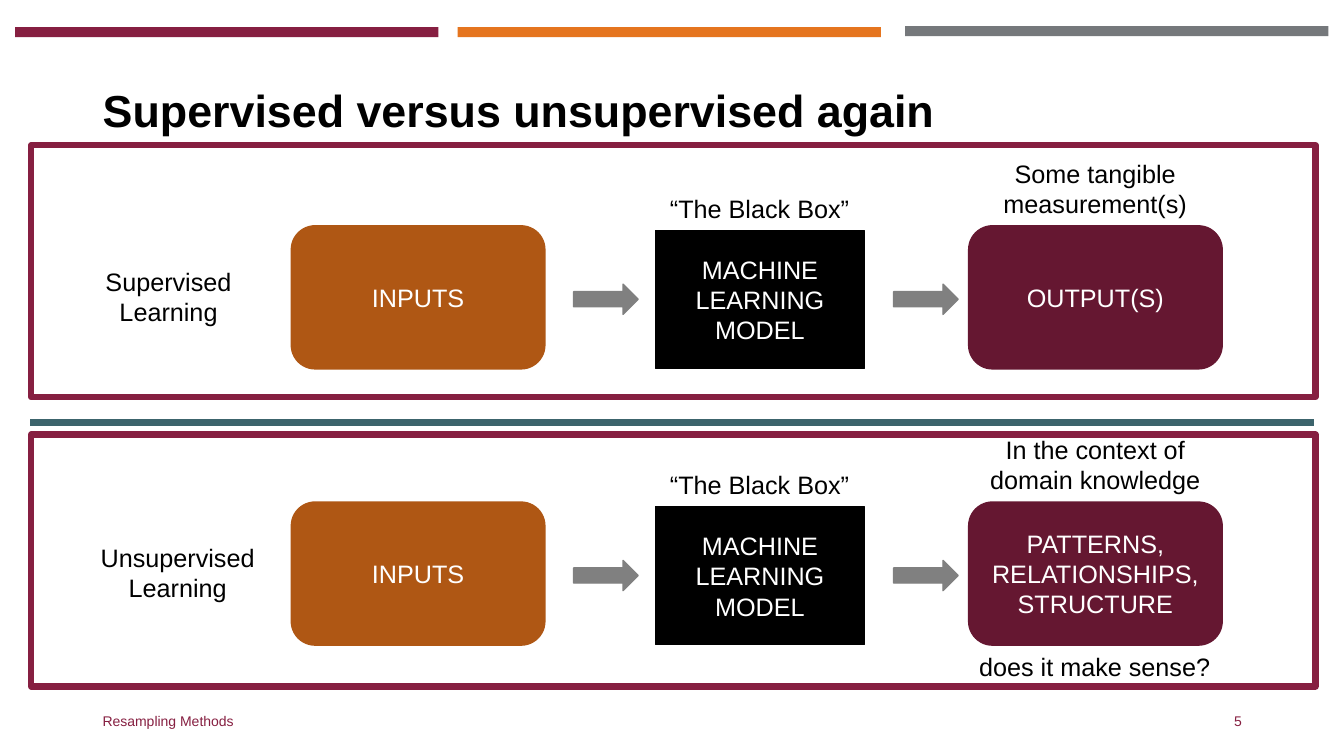
from dataclasses import dataclass

from lxml.etree import SubElement
from pptx import Presentation
from pptx.dml.color import RGBColor
from pptx.enum.shapes import MSO_CONNECTOR, MSO_SHAPE
from pptx.enum.text import MSO_ANCHOR, MSO_AUTO_SIZE, PP_ALIGN
from pptx.oxml.ns import qn
from pptx.shapes.autoshape import Shape
from pptx.slide import Slide
from pptx.text.text import TextFrame
from pptx.util import Pt


@dataclass(frozen=True)
class Theme:
    font: str = "Arial"
    title_size: float = 32
    body_size: float = 18
    footer_size: float = 10
    maroon: str = "861F41"
    dark_maroon: str = "651731"
    orange: str = "E5751F"
    dark_orange: str = "AF5714"
    gray: str = "75787B"
    arrow_gray: str = "808080"
    teal: str = "3C646C"
    black: str = "000000"
    white: str = "FFFFFF"


@dataclass(frozen=True)
class Box:
    left: float
    top: float
    width: float
    height: float

    def lowered(self, distance: float) -> "Box":
        return Box(self.left, self.top + distance, self.width, self.height)


@dataclass(frozen=True)
class Node:
    """A filled step of the flow; each line of text is a paragraph."""
    box: Box
    preset: MSO_SHAPE
    color: str
    text: str = ""


@dataclass(frozen=True)
class Label:
    box: Box
    text: str


@dataclass(frozen=True)
class LearningRow:
    name: str
    name_left: float
    result: str
    result_note: str
    drop: float


THEME = Theme()

TOP_BARS = [
    (Box(10.8, 19.4, 302.4, 7.2), THEME.maroon),
    (Box(646.5, 18.7, 302.4, 7.2), THEME.gray),
    (Box(326.9, 19.4, 302.4, 7.2), THEME.orange),
]
TITLE_BOX = Box(66.2, 28.8, 828, 104.4)
PANEL = Box(22.3, 103.7, 917.3, 180)
PANEL_PITCH = 206.6
INPUTS_BOX = Box(208.1, 161.3, 181.1, 102.2)
MODEL_BOX = Box(468.4, 164.7, 149, 98.6)
RESULT_BOX = Box(691.9, 161.3, 181.1, 102.2)
ARROW_BOXES = [Box(409.8, 203, 46.1, 21.6), Box(638.3, 203, 46.1, 21.6)]
ROWS = [
    LearningRow("Supervised Learning", 52, "OUTPUT(S)",
                "Some tangible measurement(s)", 0),
    LearningRow("Unsupervised Learning", 58.5,
                "PATTERNS,\nRELATIONSHIPS, STRUCTURE",
                "In the context of domain knowledge", 197.3),
]


def style_text(frame: TextFrame, size: float, color: str,
               align: PP_ALIGN, bold: bool = False) -> None:
    frame.word_wrap = True
    for paragraph in frame.paragraphs:
        paragraph.alignment = align
        for run in paragraph.runs:
            run.font.name = THEME.font
            run.font.size = Pt(size)
            run.font.bold = bold
            run.font.color.rgb = RGBColor.from_string(color)


def add_preset(slide: Slide, preset: MSO_SHAPE, box: Box) -> Shape:
    shape = slide.shapes.add_shape(preset, Pt(box.left), Pt(box.top),
                                   Pt(box.width), Pt(box.height))
    shape.shadow.inherit = False
    return shape


def add_bar(slide: Slide, box: Box, color: str) -> None:
    bar = add_preset(slide, MSO_SHAPE.RECTANGLE, box)
    bar.fill.solid()
    bar.fill.fore_color.rgb = RGBColor.from_string(color)
    bar.line.fill.background()


def add_panel(slide: Slide, box: Box) -> None:
    panel = add_preset(slide, MSO_SHAPE.RECTANGLE, box)
    panel.fill.background()
    panel.line.color.rgb = RGBColor.from_string(THEME.maroon)
    panel.line.width = Pt(4.5)


def add_node(slide: Slide, node: Node) -> None:
    shape = add_preset(slide, node.preset, node.box)
    color = RGBColor.from_string(node.color)
    shape.fill.solid()
    shape.fill.fore_color.rgb = color
    shape.line.color.rgb = color
    shape.line.width = Pt(1)
    if node.text:
        shape.text_frame.text = node.text
        shape.text_frame.vertical_anchor = MSO_ANCHOR.MIDDLE
        style_text(shape.text_frame, THEME.body_size, THEME.white,
                   PP_ALIGN.CENTER)


def add_label(slide: Slide, label: Label, size: float = THEME.body_size,
              color: str = THEME.black, align: PP_ALIGN = PP_ALIGN.CENTER,
              anchor: MSO_ANCHOR = MSO_ANCHOR.TOP) -> None:
    box = label.box
    frame = slide.shapes.add_textbox(Pt(box.left), Pt(box.top), Pt(box.width),
                                     Pt(box.height)).text_frame
    frame.text = label.text
    frame.vertical_anchor = anchor
    style_text(frame, size, color, align)


def add_title(slide: Slide, text: str) -> None:
    title = slide.shapes.title
    title.left, title.top = Pt(TITLE_BOX.left), Pt(TITLE_BOX.top)
    title.width, title.height = Pt(TITLE_BOX.width), Pt(TITLE_BOX.height)
    frame = title.text_frame
    frame.text = text
    frame.auto_size = MSO_AUTO_SIZE.NONE
    frame.vertical_anchor = MSO_ANCHOR.MIDDLE
    frame.paragraphs[0].line_spacing = 0.9
    style_text(frame, THEME.title_size, THEME.black, PP_ALIGN.LEFT, bold=True)


def add_divider(slide: Slide) -> None:
    divider = slide.shapes.add_connector(MSO_CONNECTOR.STRAIGHT, Pt(21.6),
                                         Pt(301.7), Pt(938.9), Pt(301.7))
    divider.line.color.rgb = RGBColor.from_string(THEME.teal)
    divider.line.width = Pt(4.5)
    SubElement(divider._element.spPr, qn("a:effectLst"))


def add_learning_row(slide: Slide, row: LearningRow) -> None:
    nodes = [
        Node(INPUTS_BOX, MSO_SHAPE.ROUNDED_RECTANGLE, THEME.dark_orange,
             "INPUTS"),
        Node(MODEL_BOX, MSO_SHAPE.RECTANGLE, THEME.black,
             "MACHINE LEARNING MODEL"),
        Node(RESULT_BOX, MSO_SHAPE.ROUNDED_RECTANGLE, THEME.dark_maroon,
             row.result),
        *(Node(box, MSO_SHAPE.RIGHT_ARROW, THEME.arrow_gray)
          for box in ARROW_BOXES),
    ]
    labels = [
        Label(Box(row.name_left, 186.5, 136.8, 51.1), row.name),
        Label(Box(450.4, 134.6, 184.3, 28.8), "“The Black Box”"),
        Label(Box(691.6, 109.4, 181.4, 51.1), row.result_note),
    ]
    for node in nodes:
        add_node(slide, Node(node.box.lowered(row.drop), node.preset,
                             node.color, node.text))
    for label in labels:
        add_label(slide, Label(label.box.lowered(row.drop), label.text))


def main() -> None:
    deck = Presentation()
    deck.slide_width, deck.slide_height = Pt(960), Pt(540)
    slide = deck.slides.add_slide(deck.slide_layouts[5])
    for box, color in TOP_BARS:
        add_bar(slide, box, color)
    add_title(slide, "Supervised versus unsupervised again")
    for index, row in enumerate(ROWS):
        add_panel(slide, PANEL.lowered(index * PANEL_PITCH))
        add_learning_row(slide, row)
    add_divider(slide)
    add_label(slide, Label(Box(680.4, 461.5, 203, 28.8), "does it make sense?"))
    for footer, align in [
        (Label(Box(66.2, 500.4, 324, 28.8), "Resampling Methods"), PP_ALIGN.LEFT),
        (Label(Box(678.2, 500.4, 216, 28.8), "5"), PP_ALIGN.RIGHT),
    ]:
        add_label(slide, footer, THEME.footer_size, THEME.maroon, align,
                  MSO_ANCHOR.MIDDLE)
    deck.save("out.pptx")


if __name__ == "__main__":
    main()
